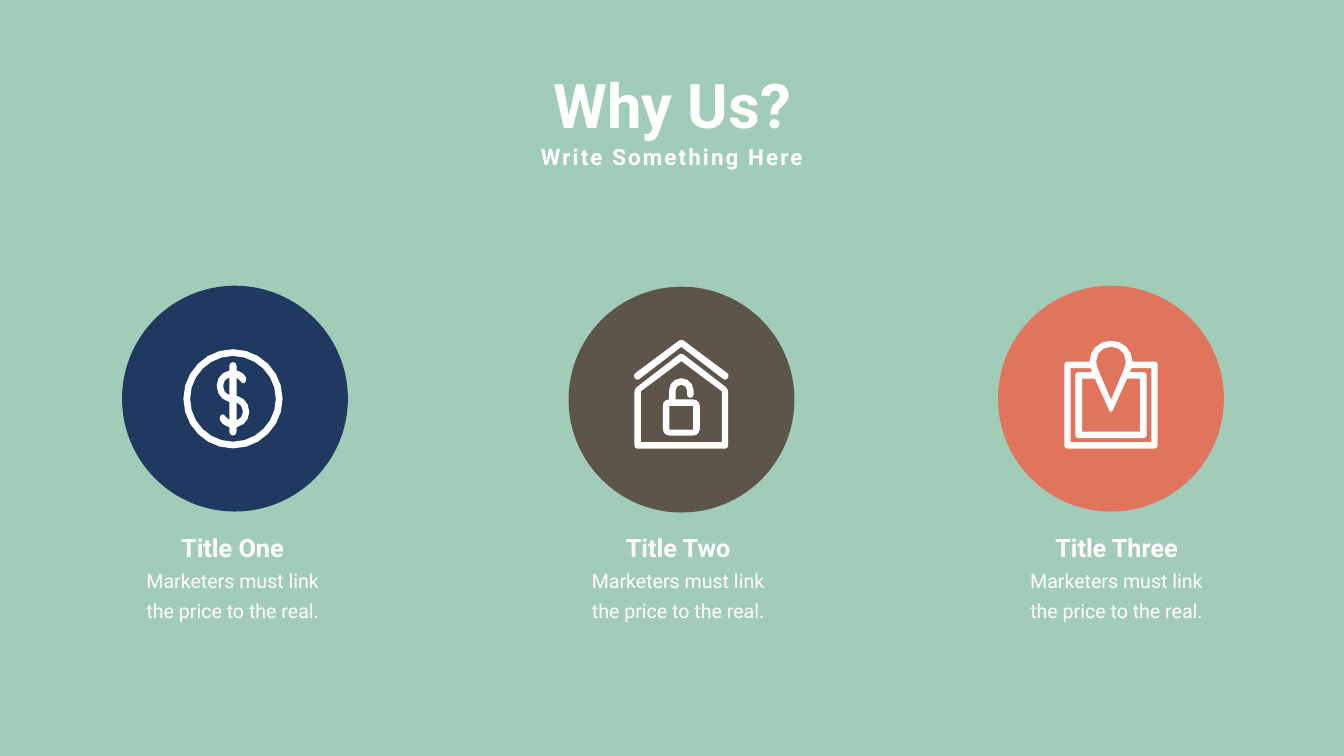
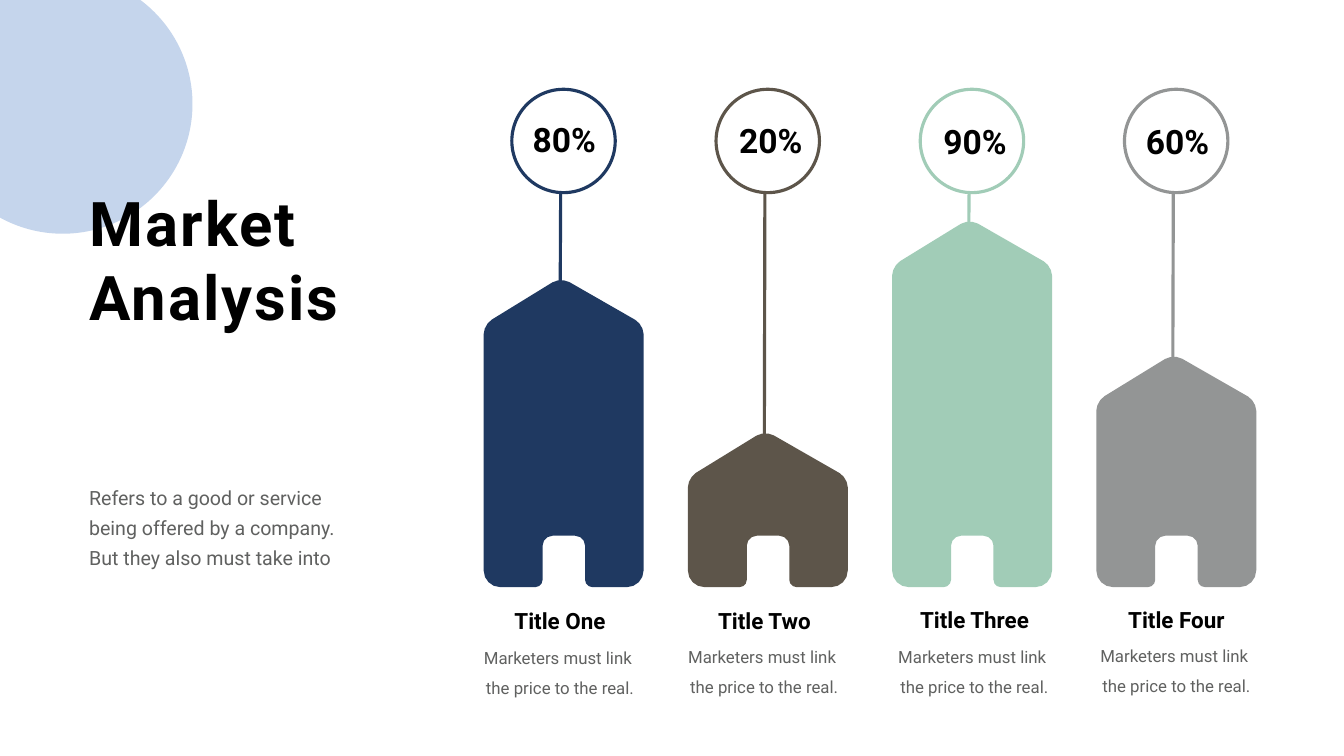
"""Build two market slides: a three-reason overview and a tower infographic."""
from dataclasses import dataclass
from typing import NamedTuple

from lxml.etree import SubElement
from pptx import Presentation
from pptx.dml.color import RGBColor
from pptx.enum.shapes import MSO_CONNECTOR, MSO_SHAPE
from pptx.enum.text import MSO_AUTO_SIZE, PP_ALIGN
from pptx.oxml.ns import qn
from pptx.shapes.autoshape import Shape
from pptx.slide import Slide
from pptx.util import Cm, Pt

COLORS = {
    "white": "FFFFFF", "black": "000000", "text": "606160", "mint": "A1CCB7",
    "navy": "1F3961", "brown": "5D554A", "coral": "E0745D", "gray": "939595", "sky": "C5D5EC",
}
FONT = "Roboto"
SLIDE_WIDTH, SLIDE_HEIGHT = 67.72, 38.1
BODY_LEADING = 43
CURVE_PULL = 0.45


class Corner(NamedTuple):
    x: float
    y: float
    cut: float = 0


class Place(NamedTuple):
    left: float
    top: float
    width: float
    height: float


Outline = list[Corner]


@dataclass(frozen=True)
class Style:
    size: int
    color: str
    bold: bool = False
    centered: bool = True
    wrap: bool = True
    leading: int | None = None
    spacing: int | None = None
    insets: tuple[float, float] = (0.25, 0.13)


@dataclass(frozen=True)
class Reason:
    title: str
    color: str
    disc: tuple[float, float]
    title_place: Place
    body_at: tuple[float, float]
    icon_at: tuple[float, float]
    icon: list[list[Outline]]


@dataclass(frozen=True)
class Tower:
    title: str
    percent: str
    color: str
    apex: float
    percent_at: tuple[float, float]
    title_place: Place
    body_at: tuple[float, float]


def outline(*corners: tuple[float, ...]) -> Outline:
    """Turn plain tuples into corners."""
    return [Corner(*corner) for corner in corners]


def box_outline(left: float, top: float, right: float, bottom: float, cut: float = 0) -> Outline:
    """Return a rectangle whose corners share one rounding."""
    return outline((left, top, cut), (right, top, cut), (right, bottom, cut), (left, bottom, cut))


def turned(corners: Outline) -> Outline:
    """Turn an outline half way round the origin."""
    return [Corner(-x, -y, cut) for x, y, cut in corners]


def toward(start: Corner, end: Corner, distance: float) -> tuple[float, float]:
    """Return the point at a distance from start in the direction of end."""
    across, down = end.x - start.x, end.y - start.y
    share = distance / (across**2 + down**2) ** 0.5
    return start.x + across * share, start.y + down * share


def curve_steps(cut: float) -> int:
    """Return how many straight steps a corner of this rounding needs."""
    return 2 + sum(cut >= limit for limit in (0.3, 0.8, 1.5, 2))


def rounded_points(corners: Outline) -> list[tuple[float, float]]:
    """Trace an outline, replacing each cut corner by a cubic curve."""
    points = []
    for index, corner in enumerate(corners):
        if not corner.cut:
            points.append((corner.x, corner.y))
            continue
        before, after = corners[index - 1], corners[(index + 1) % len(corners)]
        controls = [
            toward(corner, before, corner.cut), toward(corner, before, corner.cut * CURVE_PULL),
            toward(corner, after, corner.cut * CURVE_PULL), toward(corner, after, corner.cut),
        ]
        steps = curve_steps(corner.cut)
        for step in range(steps + 1):
            t = step / steps
            weights = ((1 - t) ** 3, 3 * t * (1 - t) ** 2, 3 * t**2 * (1 - t), t**3)
            points.append(tuple(
                round(sum(weight * control[axis] for weight, control in zip(weights, controls)), 4)
                for axis in (0, 1)
            ))
    return [point for index, point in enumerate(points) if point != points[index - 1]]


def paint(shape: Shape, fill: str | None, line: str | None = None) -> None:
    """Give a shape its fill and line without a shadow."""
    shape.shadow.inherit = False
    if fill:
        shape.fill.solid()
        shape.fill.fore_color.rgb = RGBColor.from_string(COLORS[fill])
    else:
        shape.fill.background()
    if line:
        shape.line.color.rgb = RGBColor.from_string(COLORS[line])
        shape.line.width = Pt(4.5)
    else:
        shape.line.fill.background()


def add_preset(page: Slide, kind: MSO_SHAPE, place: Place, fill: str | None, line: str | None = None) -> None:
    """Draw a preset shape."""
    paint(page.shapes.add_shape(kind, *map(Cm, place)), fill, line)


def add_outlines(page: Slide, at: tuple[float, float], outlines: list[Outline], fill: str) -> None:
    """Draw an outline with its holes as one freeform."""
    first, *holes = [
        [(Cm(at[0] + x), Cm(at[1] + y)) for x, y in rounded_points(corners)] for corners in outlines
    ]
    builder = page.shapes.build_freeform(*first[0])
    builder.add_line_segments(first[1:], close=True)
    for hole in holes:
        builder.move_to(*hole[0])
        builder.add_line_segments(hole[1:], close=True)
    paint(builder.convert_to_shape(), fill)


def add_text(page: Slide, place: Place, lines: list[str], style: Style) -> None:
    """Write one paragraph per line in a text box."""
    box = page.shapes.add_textbox(*map(Cm, place))
    frame = box.text_frame
    frame.word_wrap = style.wrap
    frame.auto_size = MSO_AUTO_SIZE.SHAPE_TO_FIT_TEXT
    frame.margin_left = frame.margin_right = Cm(style.insets[0])
    frame.margin_top = frame.margin_bottom = Cm(style.insets[1])
    for index, line in enumerate(lines):
        para = frame.add_paragraph() if index else frame.paragraphs[0]
        para.alignment = PP_ALIGN.CENTER if style.centered else PP_ALIGN.LEFT
        if style.leading:
            para.line_spacing = Pt(style.leading)
        para.font.name = FONT
        para.font.size = Pt(style.size)
        para.font.bold = style.bold
        para.font.color.rgb = RGBColor.from_string(COLORS[style.color])
        span = para.add_run()
        span.text = line
        if style.spacing:
            span._r.get_or_add_rPr().set("spc", str(style.spacing * 100))


def add_stem(page: Slide, x: float, top: float, bottom: float, color: str) -> None:
    """Draw the slightly leaning line between a tower and its badge."""
    stem = page.shapes.add_connector(MSO_CONNECTOR.STRAIGHT, Cm(x), Cm(bottom), Cm(x + 0.03), Cm(top))
    stem.line.color.rgb = RGBColor.from_string(COLORS[color])
    stem.line.width = Pt(4.5)
    SubElement(stem._element.spPr, qn("a:effectLst"))


DOLLAR_HALF = outline(
    (0.18, -0.15), (0.18, -1.07), (0.38, -0.89), (0.51, -0.71, 0.15),
    (0.71, -0.94, 0.15), (0.55, -1.32, 0.25), (0.18, -1.42), (0.18, -1.85, 0.18),
    (-0.18, -1.85, 0.18), (-0.18, -1.42), (-0.81, -1.3, 0.58), (-0.81, 0, 0.58),
)
DOLLAR_HOLE = outline((-0.18, -1.07), (-0.48, -0.98, 0.25), (-0.48, -0.3, 0.25), (-0.18, -0.2))
COIN_ICON = [
    [box_outline(-2.5, -2.5, 2.5, 2.5, 2.5), box_outline(-2.16, -2.16, 2.16, 2.16, 2.16)],
    [DOLLAR_HALF + turned(DOLLAR_HALF), DOLLAR_HOLE, turned(DOLLAR_HOLE)],
]
HOUSE_ICON = [
    [
        outline((0, -2.32, 0.15), (2.36, -0.5, 0.15), (2.36, 2.51, 0.15),
                (-2.36, 2.51, 0.15), (-2.36, -0.5, 0.15)),
        outline((0, -1.9), (2.04, -0.38), (2.04, 2.18), (-2.04, 2.18), (-2.04, -0.38)),
    ],
    [outline((0, -3.02, 0.15), (2.44, -1.2, 0.15), (2.24, -0.9, 0.15), (0, -2.62),
             (-2.24, -0.9, 0.15), (-2.44, -1.2, 0.15))],
    [
        outline((-0.93, 1.85, 0.33), (-0.93, 0.03, 0.3), (-0.62, 0.03), (-0.62, -1.04, 0.62),
                (0.62, -1.04, 0.62), (0.62, -0.05, 0.16), (0.29, -0.05, 0.16), (0.29, -0.71, 0.29),
                (-0.29, -0.71, 0.29), (-0.29, 0.03), (0.93, 0.03, 0.33), (0.93, 1.85, 0.33)),
        box_outline(-0.6, 0.36, 0.6, 1.55),
    ],
]
PIN_ICON = [[
    outline((-2.35, -1.88, 0.15), (-1.08, -1.88), (-1.08, -2.92, 1.04), (1.08, -2.92, 1.04),
            (1.08, -1.88), (2.35, -1.88, 0.15), (2.35, 2.51, 0.15), (-2.35, 2.51, 0.15)),
    outline((2.03, 2.18), (-2.03, 2.18), (-2.03, -1.55), (-1.04, -1.55), (-0.95, -1.35),
            (-1.8, -1.35, 0.15), (-1.8, 1.98, 0.15), (1.8, 1.98, 0.15), (1.8, -1.35, 0.15),
            (0.95, -1.35), (1.04, -1.55), (2.03, -1.55)),
    outline((0, 0.78, 0.2), (0.81, -1.02), (1.45, -1.02), (1.45, 1.65), (-1.45, 1.65),
            (-1.45, -1.02), (-0.81, -1.02)),
    outline((0, 0.05), (0.74, -1.7, 0.2), (0.74, -2.62, 0.7), (-0.74, -2.62, 0.7), (-0.74, -1.7, 0.2)),
]]
REASONS = [
    Reason("Title One", "navy", (6.15, 14.4), Place(8.72, 26.72, 5.99, 1.8),
           (6.38, 28.22), (11.74, 20.1), COIN_ICON),
    Reason("Title Two", "brown", (28.65, 14.45), Place(31.07, 26.7, 6.2, 1.8),
           (28.82, 28.2), (34.33, 20.1), HOUSE_ICON),
    Reason("Title Three", "coral", (50.29, 14.4), Place(52.77, 26.69, 6.98, 1.8),
           (50.91, 28.2), (55.98, 20.1), PIN_ICON),
]
TOWERS = [
    Tower("Title One", "80%", "navy", 13.97, (25.79, 5.84), Place(25.53, 30.48, 5.38, 1.63), (22.87, 32)),
    Tower("Title Two", "20%", "brown", 21.69, (36.2, 5.89), Place(35.74, 30.48, 5.56, 1.63), (33.16, 31.98)),
    Tower("Title Three", "90%", "mint", 11.02, (46.49, 5.97), Place(45.97, 30.43, 6.27, 1.63), (43.75, 31.95)),
    Tower("Title Four", "60%", "gray", 17.83, (56.69, 5.94), Place(56.46, 30.4, 5.64, 1.63), (53.93, 31.93)),
]
DISC_SIZE = 11.38
BODY_SIZE = (10.69, 3.18)
TOWER_LEFT, TOWER_STEP, TOWER_WIDTH, TOWER_BOTTOM = 24.37, 10.29, 8.06, 29.59
TOWER_PEAK, EAVE_DROP = 3.89, 2.39
DOOR_LEFT, DOOR_RIGHT, DOOR_TOP = 2.97, 5.11, 27
BADGE_TOP, BADGE_SIZE = 4.5, 5.21


def tower_outline(apex: float) -> Outline:
    """Return a tower with a pitched roof and an open door."""
    eave = apex + EAVE_DROP
    return outline(
        (TOWER_PEAK, apex, 0.5), (TOWER_WIDTH, eave, 0.48), (TOWER_WIDTH, TOWER_BOTTOM, 0.84),
        (DOOR_RIGHT, TOWER_BOTTOM, 0.37), (DOOR_RIGHT, DOOR_TOP, 0.5), (DOOR_LEFT, DOOR_TOP, 0.5),
        (DOOR_LEFT, TOWER_BOTTOM, 0.37), (0, TOWER_BOTTOM, 0.84), (0, eave, 0.48),
    )


def draw_reasons(page: Slide) -> None:
    """Draw the three reasons under their heading."""
    add_preset(page, MSO_SHAPE.RECTANGLE, Place(0, 0, SLIDE_WIDTH, SLIDE_HEIGHT), "mint")
    add_text(page, Place(25.35, 3.23, 17.02, 4.01), ["Why Us?"], Style(88, "white", bold=True))
    add_text(page, Place(26.47, 7.06, 14.78, 1.63), ["Write Something Here"],
             Style(32, "white", bold=True, wrap=False, spacing=3))
    for reason in REASONS:
        add_preset(page, MSO_SHAPE.OVAL, Place(*reason.disc, DISC_SIZE, DISC_SIZE), reason.color)
        for part in reason.icon:
            add_outlines(page, reason.icon_at, part, "white")
        add_text(page, reason.title_place, [reason.title], Style(36, "white", bold=True, wrap=False))
        add_text(page, Place(*reason.body_at, *BODY_SIZE), ["Marketers must link the price to the real."],
                 Style(28, "white", leading=BODY_LEADING))


def draw_towers(page: Slide) -> None:
    """Draw the market towers beside the slide title."""
    for index, tower in enumerate(TOWERS):
        left = TOWER_LEFT + index * TOWER_STEP
        add_outlines(page, (left, 0), [tower_outline(tower.apex)], tower.color)
        add_preset(page, MSO_SHAPE.OVAL, Place(left + 1.42, BADGE_TOP, BADGE_SIZE, BADGE_SIZE),
                   None, tower.color)
        add_stem(page, left + 3.85, BADGE_TOP + BADGE_SIZE, tower.apex + 2, tower.color)
        add_text(page, Place(*tower.percent_at, 5.28, 2.31), [tower.percent], Style(48, "black", bold=True))
        add_text(page, tower.title_place, [tower.title], Style(32, "black", bold=True, wrap=False))
        add_text(page, Place(*tower.body_at, *BODY_SIZE), ["Marketers must link ", "the price to the real."],
                 Style(24, "text", leading=BODY_LEADING))
    add_preset(page, MSO_SHAPE.OVAL, Place(-3.38, -1.3, 13.08, 13.08), "sky")
    add_text(page, Place(4.27, 9.17, 15.93, 7.77), ["Market", "Analysis"],
             Style(88, "black", bold=True, centered=False, spacing=3))
    add_text(page, Place(3.88, 23.85, 14.4, 5.05),
             ["Refers to a good or service being offered by a company. But they also must take into"],
             Style(28, "text", centered=False, leading=BODY_LEADING, insets=(0.61, 0.3)))


def main() -> None:
    """Build and save the deck."""
    deck = Presentation()
    deck.slide_width, deck.slide_height = Cm(SLIDE_WIDTH), Cm(SLIDE_HEIGHT)
    for draw in (draw_reasons, draw_towers):
        draw(deck.slides.add_slide(deck.slide_layouts[6]))
    deck.save("out.pptx")


if __name__ == "__main__":
    main()
